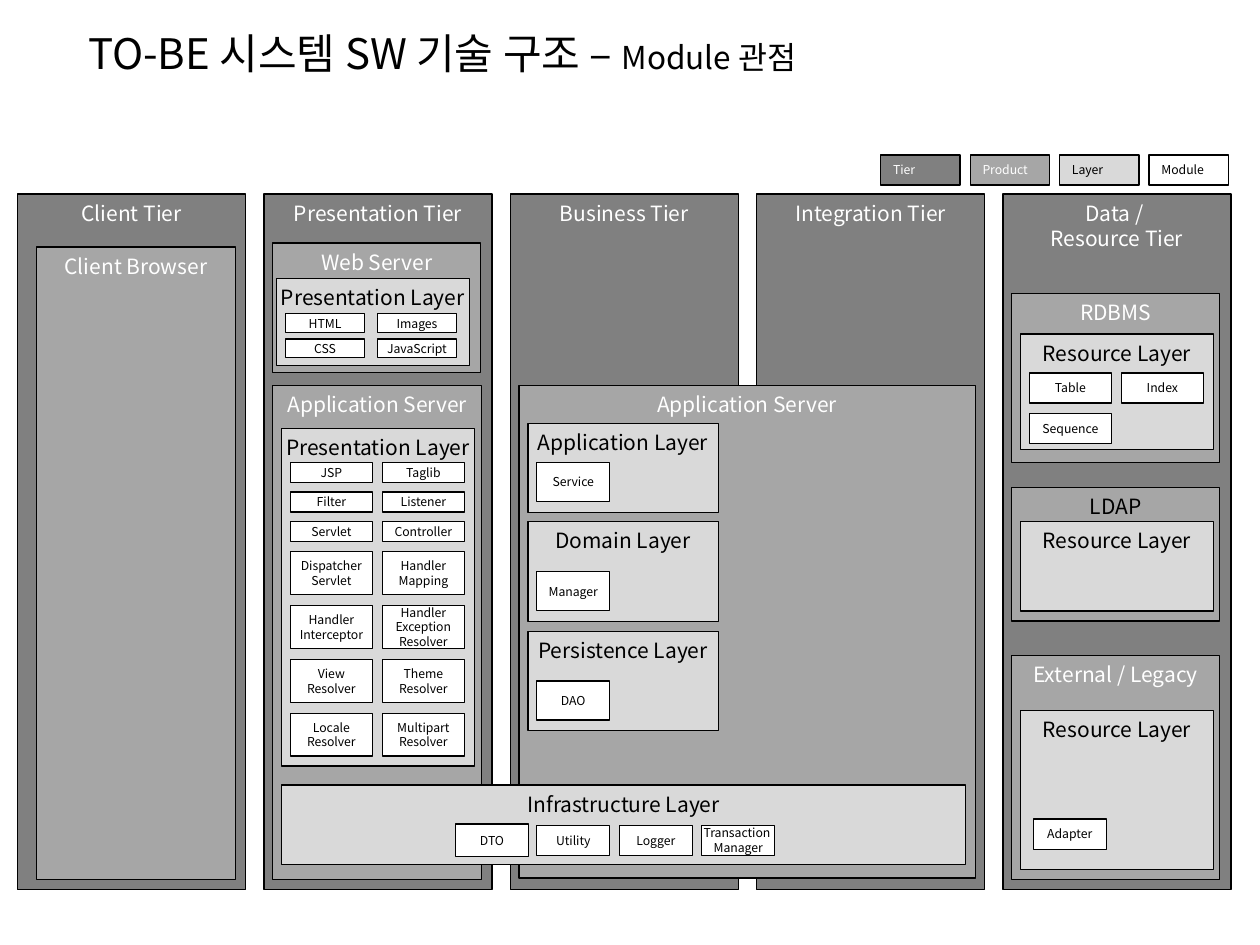
from lxml.etree import SubElement as Sub
from pptx import Presentation as Deck
from pptx.dml.color import RGBColor as Rgb
from pptx.enum.shapes import MSO_SHAPE as Kind
from pptx.enum.text import MSO_ANCHOR as Anchor, MSO_AUTO_SIZE as Auto, PP_ALIGN as Align
from pptx.oxml.ns import qn
from pptx.util import Inches, Pt

FONT = "Noto Sans CJK KR"
WIDE, HIGH = 10, 7.5
LEFT, PITCH, TOP = 0.14, 1.955, 1.54
HUES = {"Tier": "808080", "Product": "A6A6A6", "Layer": "D9D9D9",
        "Module": "FFFFFF", "ink": "000000", "pale": "FFFFFF"}
TITLE = [("TO-BE 시스템 SW 기술 구조 – ", 24), ("Module 관점", 18)]
TIERS = ["Client Tier", "Presentation Tier", "Business Tier",
         "Integration Tier", "Data / \nResource Tier"]
KEYS = ["Tier", "Product", "Layer", "Module"]

# text, tier column, inset, top, width, height
PRODUCTS = [
    ("Client Browser", 0, 0.15, 1.96, 1.58, 5.02),
    ("Web Server", 1, 0.07, 1.93, 1.65, 1.03),
    ("Application Server", 1, 0.07, 3.06, 1.66, 3.92),
    ("Application Server", 2, 0.07, 3.06, 3.62, 3.91),
    ("RDBMS", 4, 0.07, 2.33, 1.65, 1.34),
    ("LDAP", 4, 0.07, 3.87, 1.65, 1.06),
    ("External / Legacy", 4, 0.07, 5.2, 1.65, 1.78),
]
LAYERS = [
    ("Presentation Layer", 1, 0.1, 2.21, 1.53, 0.69),
    ("Presentation Layer", 1, 0.14, 3.4, 1.53, 2.68),
    ("Application Layer", 2, 0.14, 3.36, 1.51, 0.71),
    ("Domain Layer", 2, 0.14, 4.14, 1.51, 0.79),
    ("Persistence Layer", 2, 0.14, 5.01, 1.51, 0.79),
    ("Resource Layer", 4, 0.14, 2.65, 1.53, 0.92),
    ("Resource Layer", 4, 0.14, 4.14, 1.53, 0.71),
    ("Resource Layer", 4, 0.14, 5.64, 1.53, 1.26),
    ("Infrastructure Layer", 1, 0.14, 6.23, 5.43, 0.63),
]
# names, grid columns, tier column, inset, top, width, height, step across, step down
GRIDS = [
    (["HTML", "Images", "CSS", "JavaScript"], 2, 1, 0.17, 2.49, 0.63, 0.15, 0.73, 0.2),
    (["JSP", "Taglib", "Filter", "Listener", "Servlet", "Controller"],
     2, 1, 0.21, 3.67, 0.65, 0.16, 0.73, 0.235),
    (["Dispatcher\nServlet", "Handler\nMapping", "Handler\nInterceptor",
      "Handler\nException\nResolver", "View\nResolver", "Theme\nResolver",
      "Locale\nResolver", "Multipart\nResolver"],
     2, 1, 0.21, 4.38, 0.65, 0.34, 0.73, 0.427),
    (["Service", "Manager", "DAO"], 1, 2, 0.21, 3.67, 0.58, 0.31, 0, 0.867),
    (["Table", "Index", "Sequence"], 2, 4, 0.21, 2.96, 0.65, 0.24, 0.73, 0.32),
    (["DTO"], 1, 1, 1.52, 6.54, 0.58, 0.26, 0, 0),
    (["Utility", "Logger", "Transaction \nManager"], 3, 2, 0.21, 6.55, 0.58, 0.24, 0.655, 0),
    (["Adapter"], 1, 4, 0.24, 6.5, 0.58, 0.24, 0, 0),
]


def style(run, size, hue):
    for key, val in {"name": FONT, "size": Pt(size), "bold": False}.items():
        setattr(run.font, key, val)
    run.font.color.rgb = Rgb.from_string(HUES[hue])
    Sub(run.font._element, qn("a:ea"), typeface=FONT)


def frame(shape, form):
    for key, val in form.items():
        setattr(shape.text_frame, key, val)


def box(slide, role, text, x, y, w, h, small=False, align=Align.CENTER, hue=None):
    rect = slide.shapes.add_shape(Kind.RECTANGLE, *map(Inches, (x, y, w, h)))
    rect.shadow.inherit = False
    rect.fill.solid()
    rect.fill.fore_color.rgb = Rgb.from_string(HUES[role])
    rect.line.color.rgb = Rgb.from_string(HUES["ink"])
    rect.line.width = Pt(0.75)
    frame(rect, {"text": text, "word_wrap": False,
                 "vertical_anchor": Anchor.MIDDLE if small else Anchor.TOP})
    hue = hue or ("pale" if role in ("Tier", "Product") else "ink")
    for para in rect.text_frame.paragraphs:
        para.alignment = align
        for run in para.runs:
            style(run, 7 if small else 12, hue)


def head(slide):
    title = slide.shapes.title
    spot = {"left": 0.6, "top": 0.17, "width": 9.52, "height": 0.5}
    for key, val in spot.items():
        setattr(title, key, Inches(val))
    frame(title, {"word_wrap": True, "auto_size": Auto.NONE,
                  "vertical_anchor": Anchor.MIDDLE})
    para = title.text_frame.paragraphs[0]
    para.alignment = Align.LEFT
    for text, size in TITLE:
        run = para.add_run()
        run.text = text
        style(run, size, "ink")


def main():
    deck = Deck()
    deck.slide_width, deck.slide_height = Inches(WIDE), Inches(HIGH)
    slide = deck.slides.add_slide(deck.slide_layouts[5])
    head(slide)
    for i, name in enumerate(TIERS):
        box(slide, "Tier", name, LEFT + i * PITCH, TOP, 1.81, 5.52)
    for i, name in enumerate(KEYS):
        box(slide, name, name, 6.99 + i * 0.71, 1.23, 0.63, 0.24, True, Align.LEFT)
    for role, rows in (("Product", PRODUCTS), ("Layer", LAYERS)):
        for name, col, inset, y, w, h in rows:
            hue = "ink" if name == "LDAP" else None
            box(slide, role, name, LEFT + col * PITCH + inset, y, w, h, hue=hue)
    for names, cols, col, inset, y, w, h, dx, dy in GRIDS:
        for i, name in enumerate(names):
            row, place = divmod(i, cols)
            x = LEFT + col * PITCH + inset + place * dx
            box(slide, "Module", name, x, y + row * dy, w, h, True)
    deck.save("out.pptx")


if __name__ == "__main__":
    main()
